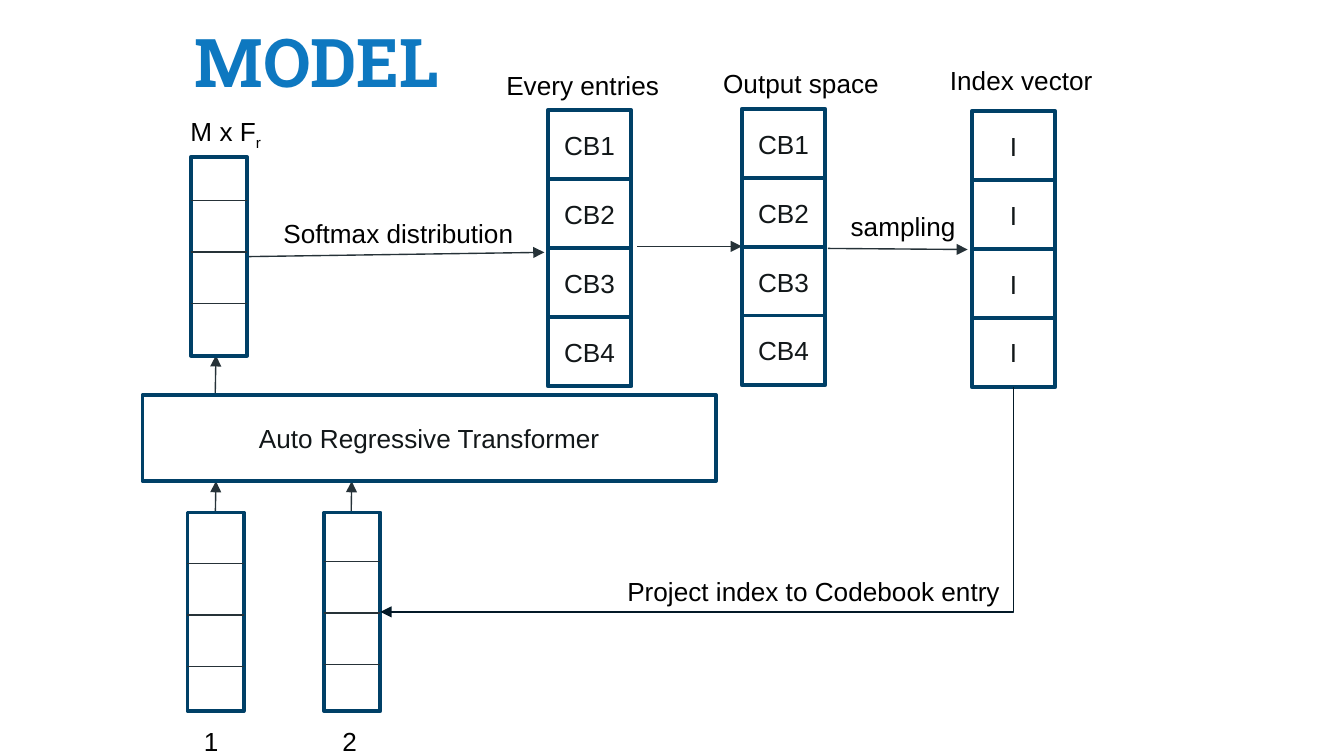
"""Build the MODEL slide: an autoregressive transformer with codebook sampling."""
from lxml.etree import SubElement
from pptx import Presentation
from pptx.dml.color import RGBColor
from pptx.enum.shapes import MSO_CONNECTOR as CONN, MSO_SHAPE as SHAPE
from pptx.enum.text import MSO_ANCHOR as ANCHOR, PP_ALIGN as ALIGN
from pptx.oxml.ns import qn
from pptx.util import Pt

THEME = {
    "title": "0E78C0", "border": "004067", "box": "FFFFFF", "box_text": "121719",
    "label": "000000", "line": "263238", "feedback": "031927",
    "title_font": "Roboto Slab", "font": "Arial", "title_size": 36, "size": 14,
    "border_width": 2, "line_width": 0.75,
}

TITLE = ("MODEL", 97.2, -7.9, 164.9, 80.6)
TRANSFORMER = ("Auto Regressive Transformer", 76.3, 211.7, 307.4, 46.1)
VECTORS = [(102.2, 84.2, 107.4), (100.4, 274.6, 301.9), (173.6, 274.6, 300.9)]
VECTOR_W, VECTOR_H, DIVIDER_STEP, DIVIDERS = 30.2, 106.4, 27.6, 3
CODEBOOKS = ["CB1", "CB2", "CB3", "CB4"]
COLUMNS = [
    (293.5, 59, CODEBOOKS),
    (397.4, 58.4, CODEBOOKS),
    (520.6, 59.5, ["I"] * 4),
]
CELL_W, CELL_H, CELL_STEP = 44.8, 37.3, 36.9
ARROWS = [
    (115.2, 216.7, 115.7, 190.4),
    (115.2, 284.4, 115.7, 257.8),
    (188, 284.4, 188.4, 257.8),
    (132.5, 137.5, 291.6, 135.2),
    (341.3, 132, 397.4, 132),
    (443.5, 133.1, 518.4, 133.7),
]
FEEDBACK = (542.9, 207.4, 203.8, 327.8)
LABELS = [
    ("1", 102.2, 385.2, 38.9, ALIGN.LEFT),
    ("2", 176.4, 385.2, 38.9, ALIGN.LEFT),
    ("M x F", 95, 58.3, 81.4, ALIGN.LEFT),
    ("Every entries", 247, 33.6, 130.3, ALIGN.CENTER),
    ("Output space", 373, 32.4, 112.3, ALIGN.CENTER),
    ("Index vector", 491, 30.8, 112.3, ALIGN.CENTER),
    ("Softmax distribution", 142.6, 113, 141.8, ALIGN.CENTER),
    ("sampling", 448.6, 109.4, 71.3, ALIGN.LEFT),
    ("Project index to Codebook entry", 329, 304.8, 223.2, ALIGN.LEFT),
]
LABEL_H = 24.5
SUBSCRIPTS = {"M x F": "r"}


def color(name):
    return RGBColor.from_string(THEME[name])


def style(p, ink, font="font", size="size", bold=False, align=ALIGN.CENTER):
    p.alignment = align
    for r in p.runs:
        r.font.name, r.font.size = THEME[font], Pt(THEME[size])
        r.font.bold, r.font.color.rgb = bold, color(ink)


def add_box(s, text, x, y, w, h):
    sp = s.shapes.add_shape(SHAPE.RECTANGLE, Pt(x), Pt(y), Pt(w), Pt(h))
    sp.shadow.inherit = False
    sp.fill.solid()
    sp.fill.fore_color.rgb = color("box")
    sp.line.color.rgb, sp.line.width = color("border"), Pt(THEME["border_width"])
    if text:
        tf = sp.text_frame
        tf.text, tf.vertical_anchor = text, ANCHOR.MIDDLE
        style(tf.paragraphs[0], "box_text")


def add_line(s, x1, y1, x2, y2, ink="line", arrow=False, kind=CONN.STRAIGHT):
    c = s.shapes.add_connector(kind, Pt(x1), Pt(y1), Pt(x2), Pt(y2))
    c.line.color.rgb, c.line.width = color(ink), Pt(THEME["line_width"])
    if arrow:
        SubElement(c.line._get_or_add_ln(), qn("a:tailEnd"), type="triangle")
    SubElement(c._element.spPr, qn("a:effectLst"))
    return c


def add_feedback(s, x1, y1, x2, y2):
    cx, cy = (x1 + x2) / 2, (y1 + y2) / 2
    dx, dy = (y2 - y1) / 2, (x1 - x2) / 2
    c = add_line(s, cx - dx, cy - dy, cx + dx, cy + dy, "feedback", True, CONN.ELBOW)
    sp_pr = c._element.spPr
    sp_pr.find(qn("a:xfrm")).set("rot", str(90 * 60000))
    sp_pr.find(qn("a:prstGeom")).set("prst", "bentConnector2")


def add_vector(s, x, y, first_divider):
    add_box(s, "", x, y, VECTOR_W, VECTOR_H)
    for i in range(DIVIDERS):
        dy = first_divider + i * DIVIDER_STEP
        add_line(s, x, dy, x + VECTOR_W, dy)


def add_label(s, text, x, y, w, align):
    tf = s.shapes.add_textbox(Pt(x), Pt(y), Pt(w), Pt(LABEL_H)).text_frame
    tf.word_wrap = True
    tf.text = text
    p = tf.paragraphs[0]
    if text in SUBSCRIPTS:
        r = p.add_run()
        r.text = SUBSCRIPTS[text]
        r.font._element.set("baseline", "-25000")
    style(p, "label", align=align)


def add_title(s, text, x, y, w, h):
    sp = s.shapes.title
    sp.left, sp.top, sp.width, sp.height = Pt(x), Pt(y), Pt(w), Pt(h)
    tf = sp.text_frame
    tf.text, tf.vertical_anchor, tf.word_wrap = text, ANCHOR.MIDDLE, True
    tf.margin_left = tf.margin_right = tf.margin_top = tf.margin_bottom = Pt(7.2)
    style(tf.paragraphs[0], "title", "title_font", "title_size", True, ALIGN.LEFT)


def main():
    prs = Presentation()
    prs.slide_width, prs.slide_height = Pt(720), Pt(405)
    s = prs.slides.add_slide(prs.slide_layouts[5])
    add_title(s, *TITLE)
    for ends in ARROWS:
        add_line(s, *ends, arrow=True)
    add_box(s, *TRANSFORMER)
    for vector in VECTORS:
        add_vector(s, *vector)
    for x, y, cells in COLUMNS:
        for i, text in enumerate(cells):
            add_box(s, text, x, y + i * CELL_STEP, CELL_W, CELL_H)
    add_feedback(s, *FEEDBACK)
    for label in LABELS:
        add_label(s, *label)
    prs.save("out.pptx")


if __name__ == "__main__":
    main()
